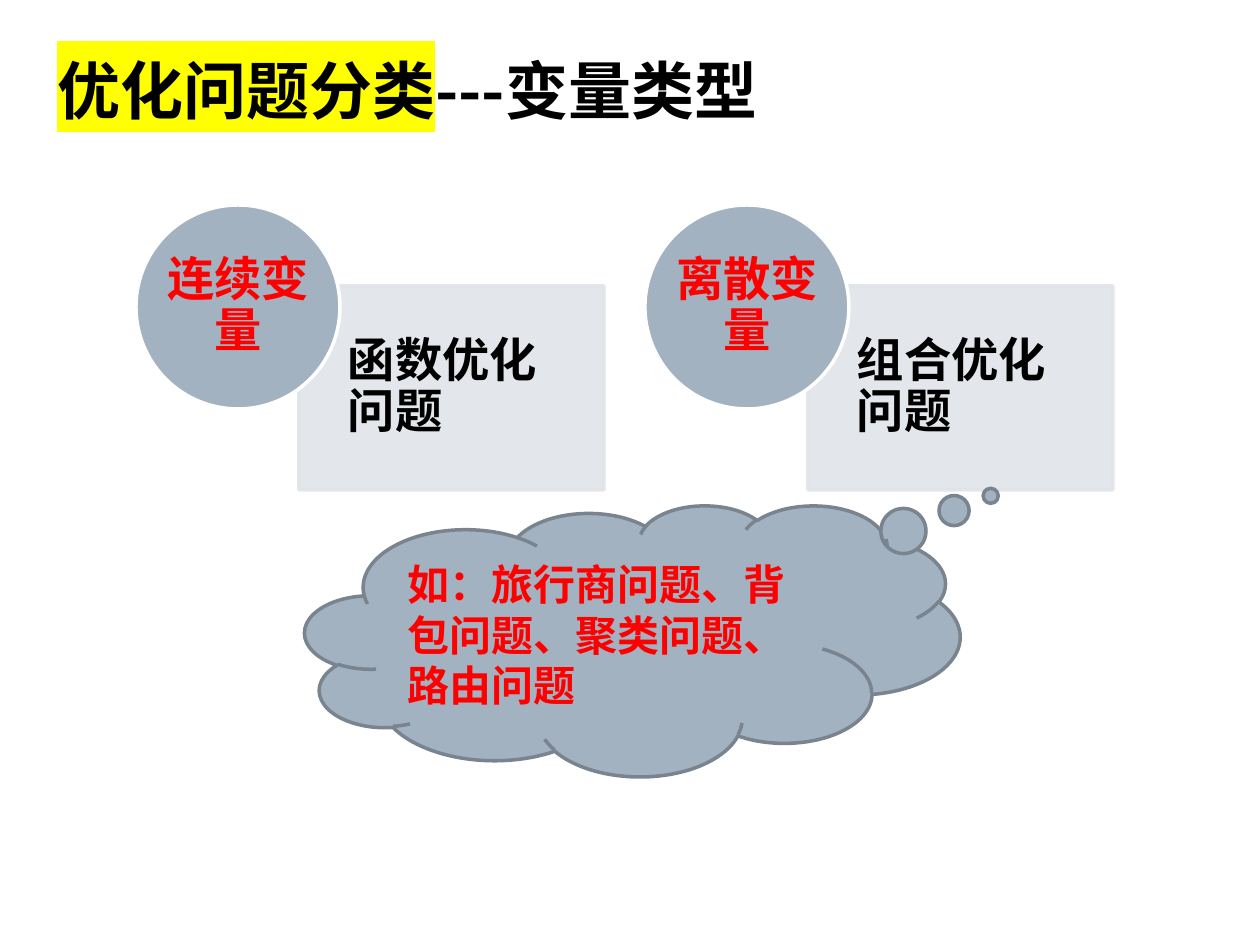
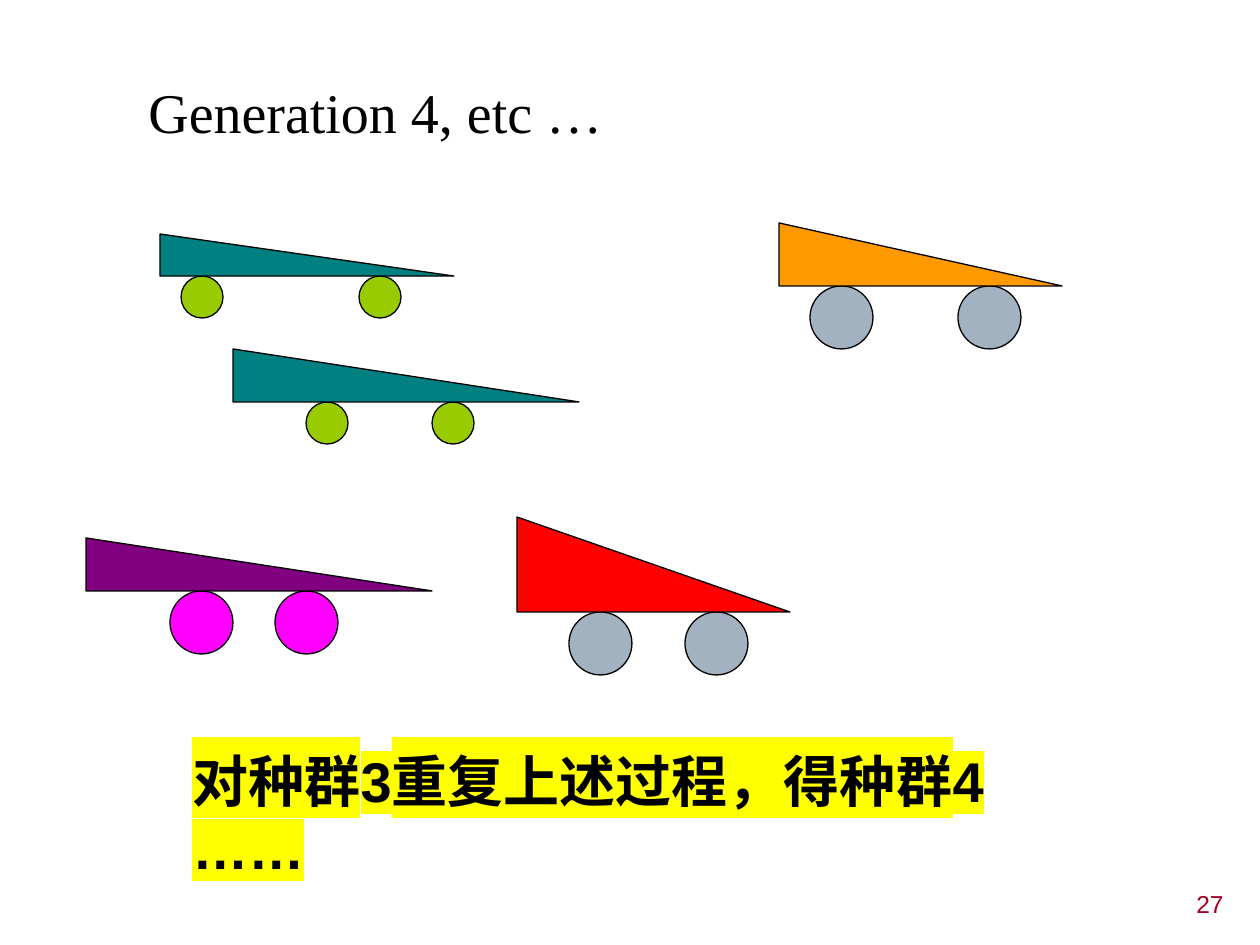
from collections import namedtuple
from dataclasses import dataclass

from lxml.etree import SubElement
from pptx import Presentation
from pptx.dml.color import RGBColor
from pptx.enum.shapes import MSO_SHAPE as Shape
from pptx.enum.text import MSO_ANCHOR as Anchor, PP_ALIGN as Align
from pptx.oxml.ns import qn
from pptx.util import Emu, Pt

EMU_PER_PX = 914400 / 126
Box = namedtuple("Box", "left top width height")
Car = namedtuple("Car", "body color wheel_color wheel_size wheel_offsets")


@dataclass(frozen=True)
class Theme:
    black: str = "000000"
    white: str = "FFFFFF"
    red: str = "FF0000"
    slate: str = "A3B2C1"
    slate_edge: str = "79848F"
    panel: str = "E0E4E9"
    marker: str = "FFFF00"
    number: str = "A50021"
    teal: str = "008080"
    lime: str = "99CC00"
    purple: str = "800080"
    magenta: str = "FF00FF"
    orange: str = "FF9900"
    sans: str = "Arial"
    serif: str = "Times New Roman"
    cjk: str = "Noto Sans CJK SC"
    title_size: int = 36
    large_size: int = 32
    label_size: int = 27
    note_size: int = 24
    number_size: int = 14
    thick: float = 2
    thin: float = 0.75


THEME = Theme()


def px(value):
    return Emu(round(value * EMU_PER_PX))


def place(box):
    return [px(value) for value in box]


def style_span(span, size, color=THEME.black, font=THEME.sans, bold=True, marker=None):
    span.font.size = Pt(size)
    span.font.bold = bold
    span.font.color.rgb = RGBColor.from_string(color)
    properties = span.font._element
    if marker:
        highlight = SubElement(properties, qn("a:highlight"))
        SubElement(highlight, qn("a:srgbClr"), val=marker)
    span.font.name = font
    SubElement(properties, qn("a:ea"), typeface=THEME.cjk)


def write(frame, text, align=Align.LEFT, spacing=None, **style):
    frame.word_wrap = True
    frame.text = text
    for para in frame.paragraphs:
        para.alignment = align
        if spacing:
            para.line_spacing = spacing
        for span in para.runs:
            style_span(span, **style)


def set_insets(frame, left, top, right, bottom):
    frame.margin_left, frame.margin_top = px(left), px(top)
    frame.margin_right, frame.margin_bottom = px(right), px(bottom)


def add_text(page, box, text, **style):
    frame = page.shapes.add_textbox(*place(box)).text_frame
    write(frame, text, **style)
    return frame


def add_figure(page, kind, box, fill, line, width):
    figure = page.shapes.add_shape(kind, *place(box))
    figure.shadow.inherit = False
    figure.fill.solid()
    figure.fill.fore_color.rgb = RGBColor.from_string(fill)
    figure.line.color.rgb = RGBColor.from_string(line)
    figure.line.width = Pt(width)
    figure.text_frame.vertical_anchor = Anchor.MIDDLE
    return figure


def make_translucent(figure, percent):
    for color in figure._element.spPr.iter(qn("a:srgbClr")):
        SubElement(color, qn("a:alpha"), val=str(percent * 1000))


def add_variable_type(page, box, variable, problem):
    circle_size = 204
    panel_box = Box(box.left + 163, box.top + 81, box.width - 163, box.height - 81)
    panel = add_figure(page, Shape.RECTANGLE, panel_box, THEME.panel, THEME.panel, THEME.thick)
    make_translucent(panel, 90)
    set_insets(panel.text_frame, 49, 26, 26, 26)
    write(panel.text_frame, problem, spacing=0.9, size=THEME.label_size)

    circle_box = Box(box.left, box.top, circle_size, circle_size)
    circle = add_figure(page, Shape.OVAL, circle_box, THEME.slate, THEME.white, THEME.thick)
    set_insets(circle.text_frame, 0, 0, 0, 0)
    write(circle.text_frame, variable, align=Align.CENTER, spacing=0.9,
          size=THEME.label_size, color=THEME.red)


def add_example_cloud(page, box, text):
    cloud = add_figure(page, Shape.CLOUD_CALLOUT, box, THEME.slate, THEME.slate_edge, THEME.thick)
    cloud.adjustments[0] = 0.547
    cloud.adjustments[1] = -0.534
    write(cloud.text_frame, text, size=THEME.note_size, color=THEME.red)


def add_car(page, car):
    body = car.body
    for offset in car.wheel_offsets:
        wheel = Box(body.left + offset, body.top + body.height, car.wheel_size, car.wheel_size)
        add_figure(page, Shape.OVAL, wheel, car.wheel_color, THEME.black, THEME.thin)
    add_figure(page, Shape.RIGHT_TRIANGLE, body, car.color, THEME.black, THEME.thin)


def build_variable_types(page):
    title = add_text(page, Box(45, 45, 835, 104), "优化问题分类", size=THEME.title_size,
                     font=THEME.cjk, marker=THEME.marker)
    suffix = title.paragraphs[0].add_run()
    suffix.text = "---变量类型"
    style_span(suffix, THEME.title_size, font=THEME.cjk)

    pairs = [("连续变量", "函数优化问题"), ("离散变量", "组合优化问题")]
    for index, (variable, problem) in enumerate(pairs):
        add_variable_type(page, Box(136 + 509 * index, 205, 468, 285), variable, problem)
    add_example_cloud(page, Box(305, 505, 655, 271),
                      "如：旅行商问题、背包问题、聚类问题、路由问题")


def build_generation(page):
    add_text(page, Box(136, 71, 500, 79), "Generation 4, etc …",
             size=THEME.large_size, font=THEME.serif, bold=False)
    cars = [
        Car(Box(160, 234, 294, 42), THEME.teal, THEME.lime, 42, (21, 199)),
        Car(Box(233, 349, 346, 53), THEME.teal, THEME.lime, 42, (73, 199)),
        Car(Box(779, 223, 283, 63), THEME.orange, THEME.slate, 63, (31, 179)),
        Car(Box(86, 538, 346, 53), THEME.purple, THEME.magenta, 63, (84, 189)),
        Car(Box(517, 517, 273, 95), THEME.red, THEME.slate, 63, (52, 168)),
    ]
    for car in cars:
        add_car(page, car)
    add_text(page, Box(180, 740, 912, 157), "对种群3重复上述过程，得种群4\n……",
             size=THEME.large_size, marker=THEME.marker)
    add_text(page, Box(963, 883, 273, 49), "27", align=Align.RIGHT,
             size=THEME.number_size, color=THEME.number, bold=False)


def main():
    deck = Presentation()
    deck.slide_width, deck.slide_height = px(1260), px(945)
    blank = deck.slide_layouts[6]
    for build in (build_variable_types, build_generation):
        build(deck.slides.add_slide(blank))
    deck.save("out.pptx")


if __name__ == "__main__":
    main()
